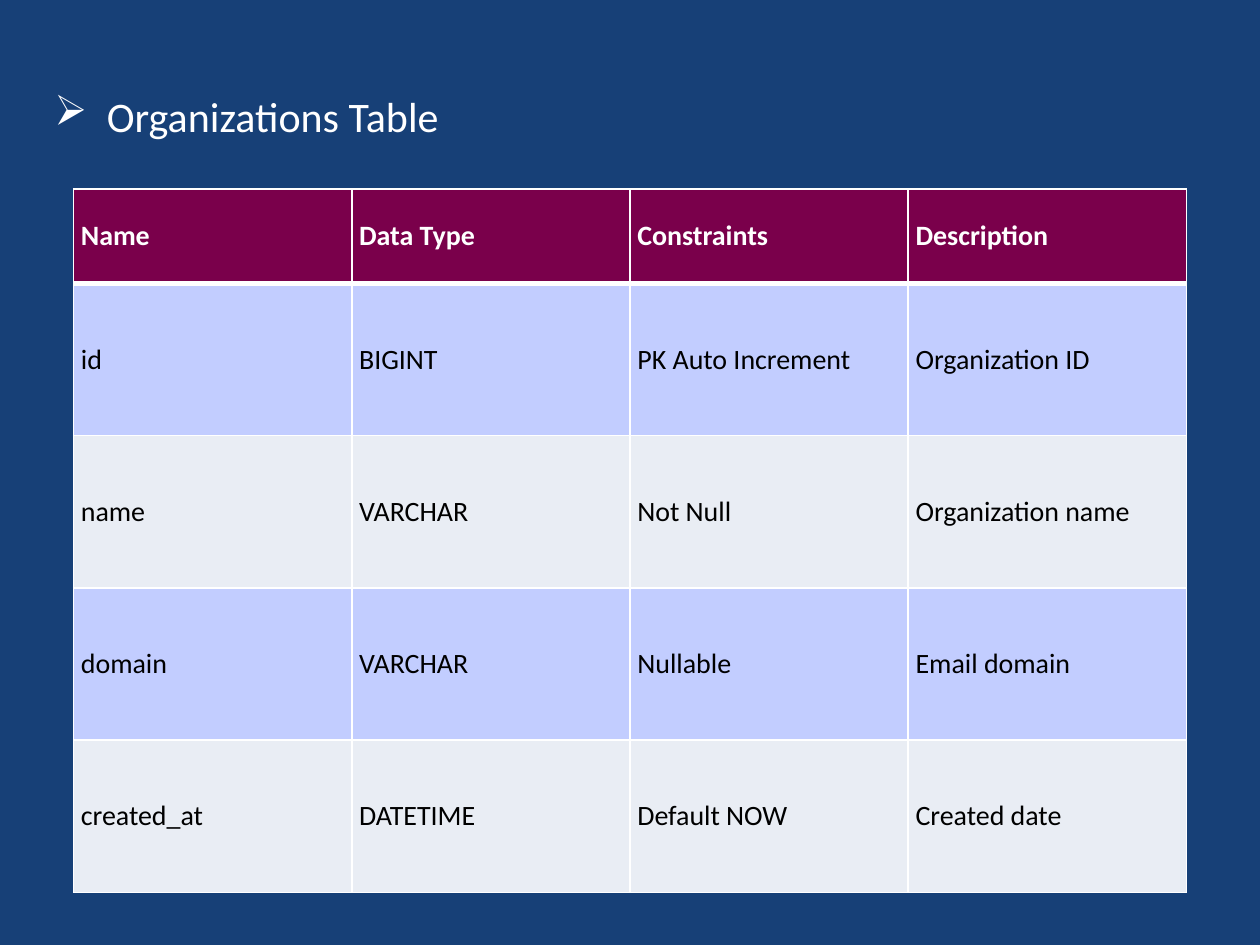
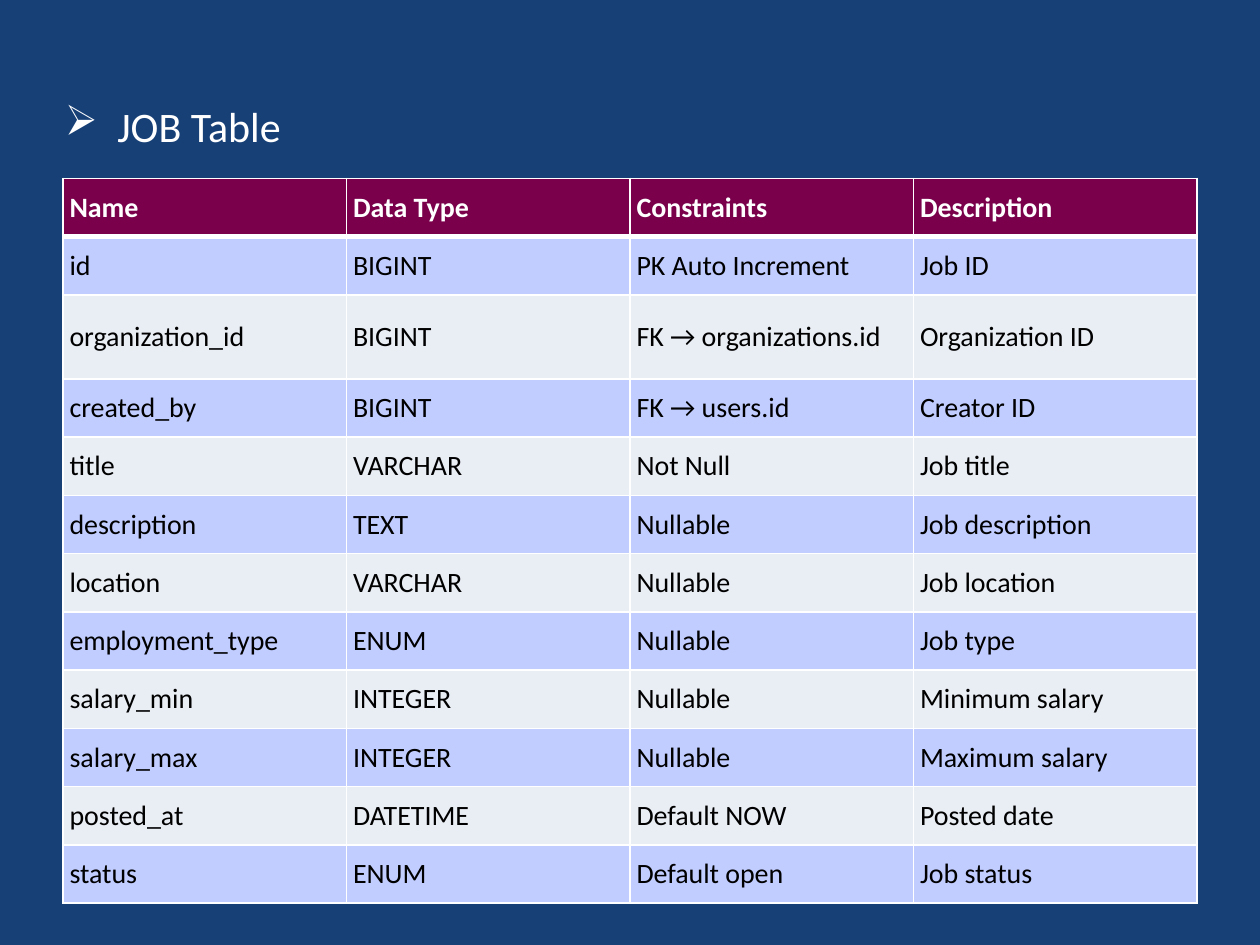
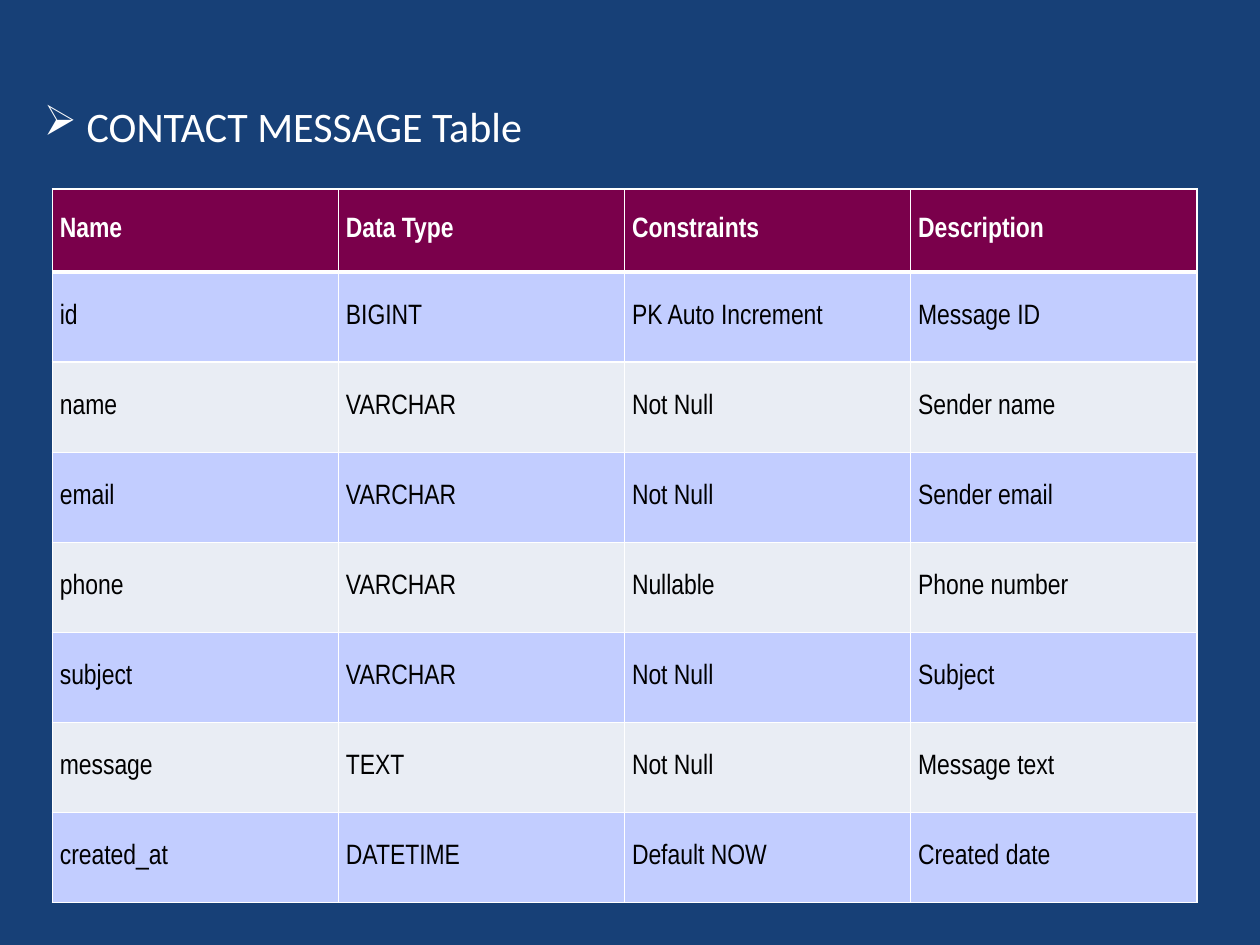
"""Build three slides that describe database tables."""
import lxml.etree
import pptx
import pptx.dml.color
import pptx.enum.text
import pptx.oxml.ns
import pptx.util

Pt = pptx.util.Pt
qn = pptx.oxml.ns.qn

COLORS = {
    "background": "174077",
    "header": "7A004B",
    "odd_row": "C2CDFF",
    "even_row": "E9EDF4",
    "light": "FFFFFF",
    "dark": "000000",
}
HEADER = ("Name", "Data Type", "Constraints", "Description")

ORGANIZATION_FIELDS = [
    ("id", "BIGINT", "PK Auto Increment", "Organization ID"),
    ("name", "VARCHAR", "Not Null", "Organization name"),
    ("domain", "VARCHAR", "Nullable", "Email domain"),
    ("created_at", "DATETIME", "Default NOW", "Created date"),
]
JOB_FIELDS = [
    ("id", "BIGINT", "PK Auto Increment", "Job ID"),
    ("organization_id", "BIGINT", "FK → organizations.id", "Organization ID"),
    ("created_by", "BIGINT", "FK → users.id", "Creator ID"),
    ("title", "VARCHAR", "Not Null", "Job title"),
    ("description", "TEXT", "Nullable", "Job description"),
    ("location", "VARCHAR", "Nullable", "Job location"),
    ("employment_type", "ENUM", "Nullable", "Job type"),
    ("salary_min", "INTEGER", "Nullable", "Minimum salary"),
    ("salary_max", "INTEGER", "Nullable", "Maximum salary"),
    ("posted_at", "DATETIME", "Default NOW", "Posted date"),
    ("status", "ENUM", "Default open", "Job status"),
]
MESSAGE_FIELDS = [
    ("id", "BIGINT", "PK Auto Increment", "Message ID"),
    ("name", "VARCHAR", "Not Null", "Sender name"),
    ("email", "VARCHAR", "Not Null", "Sender email"),
    ("phone", "VARCHAR", "Nullable", "Phone number"),
    ("subject", "VARCHAR", "Not Null", "Subject"),
    ("message", "TEXT", "Not Null", "Message text"),
    ("created_at", "DATETIME", "Default NOW", "Created date"),
]


def color(name):
    return pptx.dml.color.RGBColor.from_string(COLORS[name])


class SchemaDeck:
    """Holds the shared style and the current slide."""

    def __init__(self):
        self.presentation = pptx.Presentation()
        self.presentation.slide_width = Pt(720)
        self.presentation.slide_height = Pt(540)
        self.slide = None

    def add_slide(self):
        self.slide = self.presentation.slides.add_slide(self.presentation.slide_layouts[6])
        fill = self.slide.background.fill
        fill.solid()
        fill.fore_color.rgb = color("background")

    def add_run(self, paragraph, text, size, color_name, font="Calibri", bold=False):
        run = paragraph.add_run()
        run.text = text
        run.font.size = Pt(size)
        run.font.name = font
        run.font.bold = bold
        run.font.color.rgb = color(color_name)

    def add_title(self, text, left, top, width, indent=30):
        shape = self.slide.shapes.add_textbox(Pt(left), Pt(top), Pt(width), Pt(36))
        shape.text_frame.word_wrap = True
        paragraph = shape.text_frame.paragraphs[0]
        properties = paragraph._p.get_or_add_pPr()
        properties.set("marL", str(Pt(indent)))
        properties.set("indent", str(-Pt(indent)))
        lxml.etree.SubElement(properties, qn("a:buChar")).set("char", "➢")
        self.add_run(paragraph, text, 24, "light")

    def add_borders(self, cell, widths):
        properties = cell._tc.get_or_add_tcPr()
        for side, width in widths.items():
            line = lxml.etree.SubElement(properties, qn(f"a:ln{side}"), w=str(Pt(width)))
            fill = lxml.etree.SubElement(line, qn("a:solidFill"))
            lxml.etree.SubElement(fill, qn("a:srgbClr"), val=COLORS["light"])

    def add_cell(self, cell, text, row_index, font, inset):
        is_header = row_index == 0
        cell.margin_left = cell.margin_right = Pt(inset)
        cell.margin_top = cell.margin_bottom = Pt(2.16)
        cell.vertical_anchor = pptx.enum.text.MSO_ANCHOR.MIDDLE
        top, bottom = {0: (1, 3), 1: (3, 1)}.get(row_index, (1, 1))
        self.add_borders(cell, {"L": 1, "R": 1, "T": top, "B": bottom})
        cell.fill.solid()
        band = "odd_row" if row_index % 2 else "even_row"
        cell.fill.fore_color.rgb = color("header" if is_header else band)
        self.add_run(cell.text_frame.paragraphs[0], text, 16,
                     "light" if is_header else "dark", font, is_header)

    def add_fields_table(self, fields, left, top, width, heights, font="Calibri", inset=4.25):
        rows = [HEADER, *fields]
        frame = self.slide.shapes.add_table(
            len(rows), len(HEADER), Pt(left), Pt(top), Pt(width), Pt(sum(heights)))
        table = frame.table
        for column in table.columns:
            column.width = Pt(width / len(HEADER))
        for row_index, (texts, height) in enumerate(zip(rows, heights)):
            table.rows[row_index].height = Pt(height)
            for column_index, text in enumerate(texts):
                self.add_cell(table.cell(row_index, column_index), text, row_index, font, inset)


def main():
    deck = SchemaDeck()

    deck.add_slide()
    deck.add_title("Organizations Table", 24, 48, 336)
    deck.add_fields_table(ORGANIZATION_FIELDS, 42, 108, 636, [54] + [87] * 4)

    deck.add_slide()
    job_heights = [33.3] * 2 + [48] + [33.3] * 9
    deck.add_fields_table(JOB_FIELDS, 36, 102, 648, job_heights, inset=3.75)
    deck.add_title("JOB Table", 30, 54, 240)

    deck.add_slide()
    deck.add_fields_table(
        MESSAGE_FIELDS, 30, 108, 654, [47.5] + [51.5] * 7, font="Arial Narrow")
    deck.add_title("CONTACT MESSAGE Table", 18, 54, 498, indent=24.5)

    deck.presentation.save("out.pptx")


if __name__ == "__main__":
    main()
